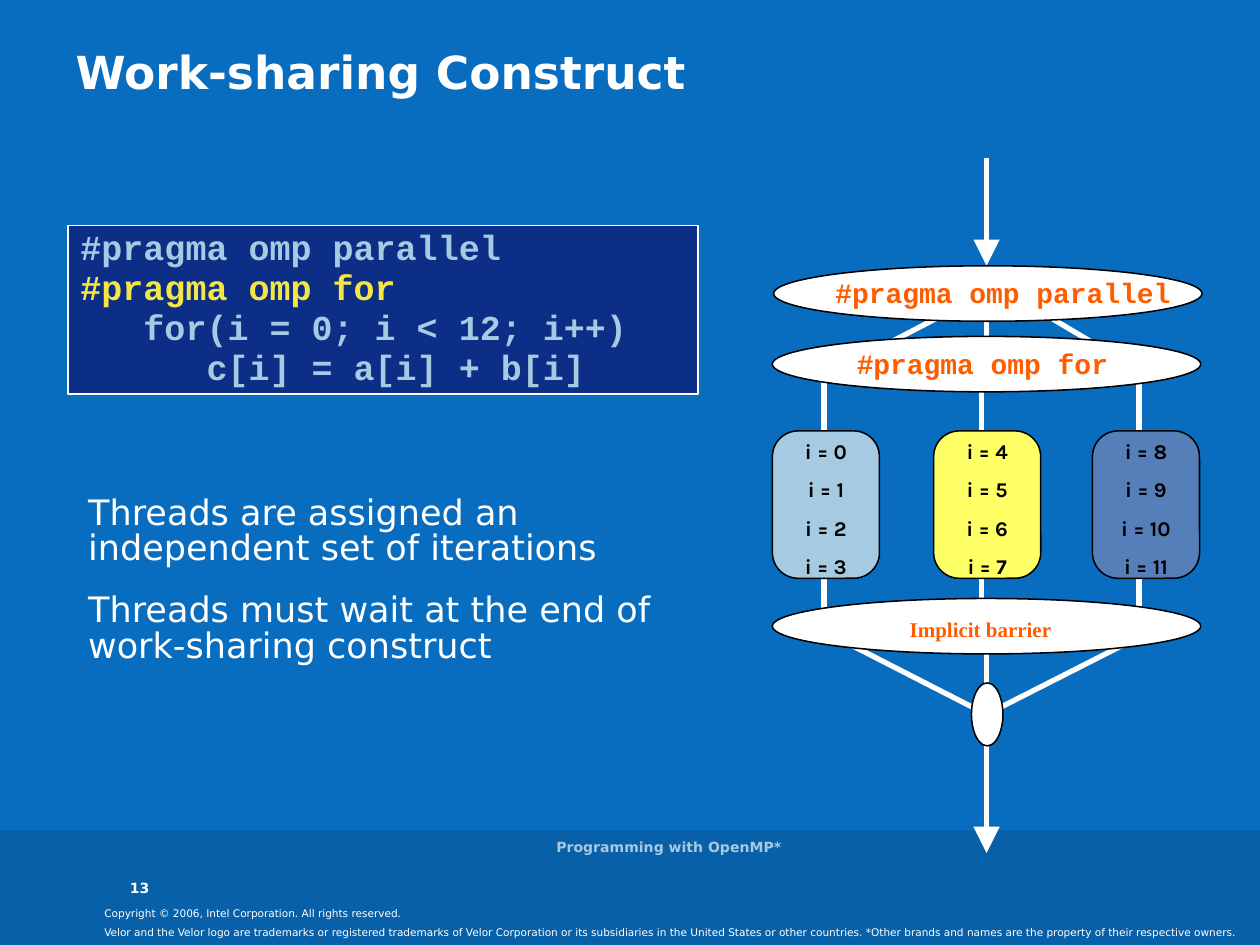
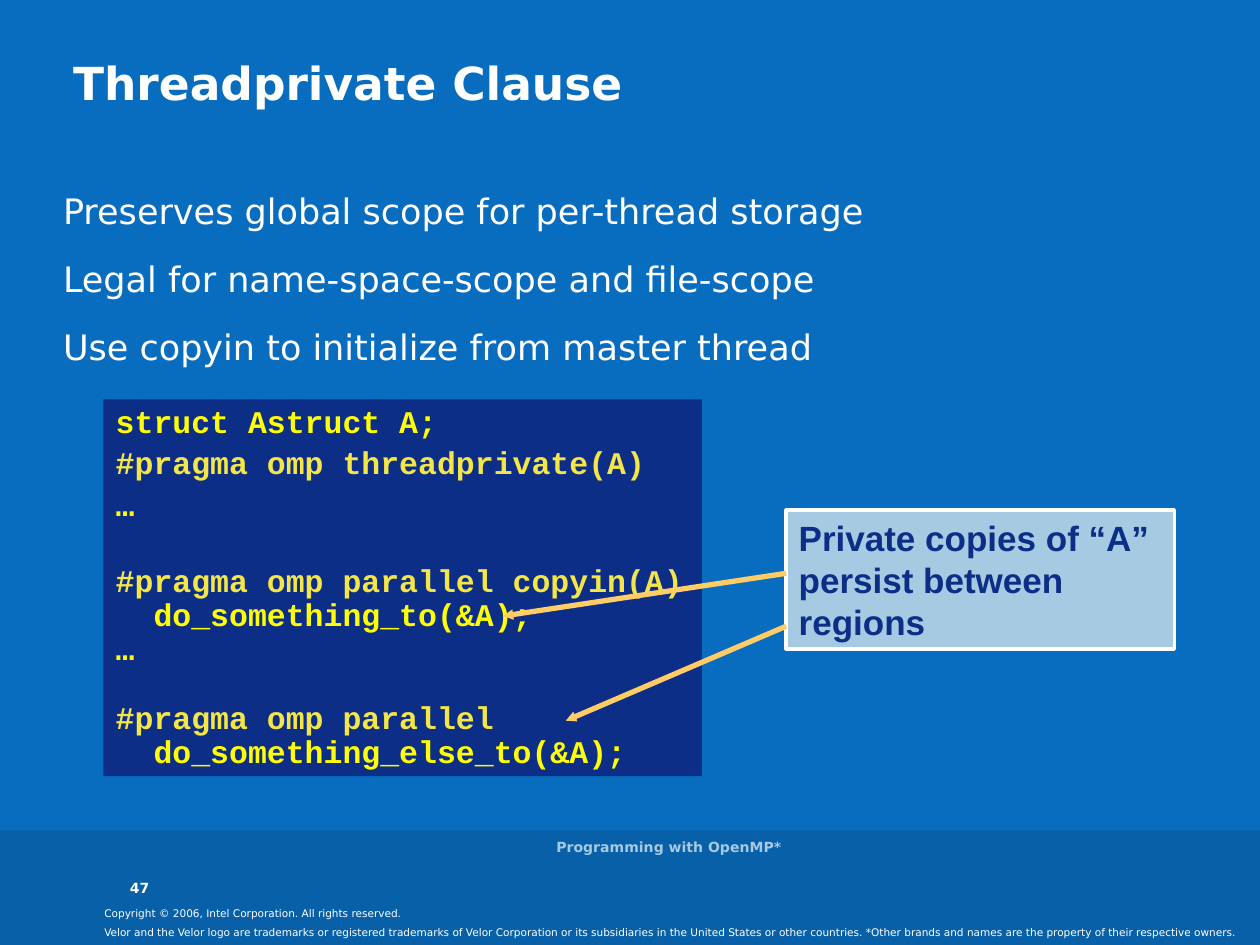
from pptx import Presentation
from pptx.dml.color import RGBColor as RGB
from pptx.enum.shapes import MSO_CONNECTOR as CONN, MSO_SHAPE as SHAPE
from pptx.enum.text import MSO_ANCHOR as ANCHOR, MSO_AUTO_SIZE as AUTO, PP_ALIGN as ALIGN
from pptx.oxml.ns import qn
from pptx.util import Inches, Pt
from lxml.etree import SubElement

COLORS = {
    "background": "096DBF", "band": "0860A8", "white": "FFFFFF", "black": "000000",
    "navy": "0C2E86", "pale": "A6CAE1", "steel": "567EB9", "lemon": "FFFF66",
    "yellow": "FFFF00", "gold": "F5E647", "orange": "FF5C00", "amber": "FFCC66",
}
SANS, MONO = "DejaVu Sans", "Courier New"
FOOTER = "Programming with OpenMP*"
COPYRIGHT = "Copyright © 2006, Intel Corporation. All rights reserved."
TRADEMARKS = ("Velor and the Velor logo are trademarks or registered trademarks of Velor "
              "Corporation or its subsidiaries in the United States or other countries. "
              "*Other brands and names are the property of their respective owners.")


def color(name):
    return RGB.from_string(COLORS[name])


def write(tf, lines, size=20, ink="white", font=SANS, bold=False, align=ALIGN.LEFT,
          gap=0, spacing=1.0, pad=(0.1, 0.05), anchor=ANCHOR.TOP, wrap=True):
    """Fill a frame; a line is a text or a (text, overrides) pair."""
    tf.auto_size, tf.word_wrap, tf.vertical_anchor = AUTO.NONE, wrap, anchor
    tf.margin_left = tf.margin_right = Inches(pad[0])
    tf.margin_top = tf.margin_bottom = Inches(pad[1])
    for i, line in enumerate(lines):
        text, own = (line, {}) if isinstance(line, str) else line
        p = tf.paragraphs[0] if i == 0 else tf.add_paragraph()
        pPr = p._p.get_or_add_pPr()
        pPr.set("marL", "0")
        pPr.set("indent", "0")
        SubElement(pPr, qn("a:buNone"))
        p.alignment = align
        p.line_spacing = own.get("spacing", spacing)
        p.space_before = Pt(own.get("gap", gap) if i else 0)
        r = p.add_run()
        r.text = text
        r.font.name, r.font.size, r.font.bold = font, Pt(size), bold
        r.font.color.rgb = color(own.get("ink", ink))


class Deck:
    """Holds the shared style and the slide being built."""

    def __init__(self):
        self.prs = Presentation()
        self.prs.slide_width, self.prs.slide_height = Inches(10), Inches(7.5)
        fill = self.prs.slide_master.background.fill
        fill.solid()
        fill.fore_color.rgb = color("background")

    def slide(self, number):
        self.s = self.prs.slides.add_slide(self.prs.slide_layouts[1])
        # Footer band
        self.shape(SHAPE.RECTANGLE, (0, 6.59, 10, 0.91), "band")
        self.label((0.73, 7.16, 7.21, 0.2), COPYRIGHT, size=6, spacing=0.95)
        self.label((0.73, 7.3, 9.27, 0.2), TRADEMARKS, size=6)
        self.label((1.03, 6.78, 0.45, 0.33), str(number), size=8, bold=True,
                   pad=(0, 0), anchor=ANCHOR.BOTTOM)
        self.label((3.31, 6.56, 4, 0.33), FOOTER, size=8, bold=True, ink="pale",
                   align=ALIGN.CENTER, pad=(0, 0), anchor=ANCHOR.MIDDLE)

    def placeholder(self, sp, box, lines, **fmt):
        sp.left, sp.top, sp.width, sp.height = map(Inches, box)
        write(sp.text_frame, lines, **fmt)

    def title(self, box, text, **fmt):
        self.placeholder(self.s.shapes.title, box, [text], size=26, bold=True, **fmt)

    def body(self, box, lines, **fmt):
        self.placeholder(self.s.placeholders[1], box, lines, gap=15, **fmt)

    def label(self, box, text, **fmt):
        sp = self.s.shapes.add_textbox(*map(Inches, box))
        write(sp.text_frame, [text], **fmt)

    def shape(self, kind, box, fill, line=None, width=0.88, lines=(), **fmt):
        sp = self.s.shapes.add_shape(kind, *map(Inches, box))
        sp.shadow.inherit = False
        sp.fill.solid()
        sp.fill.fore_color.rgb = color(fill)
        if line:
            sp.line.color.rgb, sp.line.width = color(line), Pt(width)
        else:
            sp.line.fill.background()
        if lines:
            write(sp.text_frame, lines, **fmt)
        return sp

    def oval(self, box):
        self.shape(SHAPE.OVAL, box, "white", "black")

    def line(self, start, end, ink="white", head=None):
        ln = self.s.shapes.add_connector(CONN.STRAIGHT, *map(Inches, start + end))
        ln.line.color.rgb, ln.line.width = color(ink), Pt(3)
        spPr = ln._element.spPr
        SubElement(spPr, qn("a:effectLst"))
        if head:
            SubElement(spPr.find(qn("a:ln")), qn("a:tailEnd"),
                       type="triangle", w=head, len=head)


def work_sharing(deck):
    deck.slide(13)
    deck.title((0.5, 0.3, 9.01, 0.53), "Work-sharing Construct")
    deck.body((0.6, 3.89, 4.99, 1.52),
              ["Threads are assigned an independent set of iterations",
               "Threads must wait at the end of work-sharing construct"], spacing=0.85)

    # Code
    deck.shape(SHAPE.RECTANGLE, (0.54, 1.79, 5, 1.34), "navy", "white", 1,
               ["#pragma omp parallel",
                ("#pragma omp for", {"ink": "gold"}),
                "   for(i = 0; i < 12; i++)",
                "      c[i] = a[i] + b[i]"],
               ink="pale", font=MONO, bold=True, gap=2.5, spacing=0.85)

    # Thread lines, fork and join
    axis = 7.83
    for i in range(3):
        x = 6.54 + 1.25 * i
        deck.line((x, 3), (x, 4.85))
    for x, fork in ((6.56, 2.32), (axis, 2.32), (9.11, 2.22)):
        deck.line((axis, fork), (x, 2.98))
        deck.line((x, 5.02), (axis, 5.67))

    # Iterations of each thread
    for i, (x, fill) in enumerate([(6.13, "pale"), (7.41, "lemon"), (8.67, "steel")]):
        sp = deck.shape(SHAPE.ROUNDED_RECTANGLE, (x, 3.42, 0.85, 1.17), fill, "black",
                        lines=[f"i = {n}" for n in range(4 * i, 4 * i + 4)],
                        size=12, ink="black", font="Karla", bold=True,
                        align=ALIGN.CENTER, gap=7.5, pad=(0, 0))
        sp.adjustments[0] = 0.24

    # Stages from top to bottom
    deck.line((axis, 1.25), (axis, 2.11), head="lg")
    deck.line((axis, 5.88), (axis, 6.77), head="lg")
    deck.oval((7.71, 5.42, 0.25, 0.5))
    stages = [
        ((6.14, 2.11), (6.63, 2.19, 2.66, 0.27), "#pragma omp parallel", MONO, 16),
        ((6.13, 2.67), (6.8, 2.75, 2, 0.27), "#pragma omp for", MONO, 16),
        ((6.13, 4.75), (7.22, 4.89, 1.13, 0.2), "Implicit barrier", "Times New Roman", 12),
    ]
    for corner, box, text, font, size in stages:
        deck.oval(corner + (3.4, 0.44))
        deck.label(box, text, size=size, ink="orange", font=font, bold=True,
                   pad=(0, 0), wrap=False)


def threadprivate(deck):
    deck.slide(47)
    deck.title((0.58, 0.44, 9.01, 0.43), "Threadprivate Clause", pad=(0, 0))
    deck.body((0.5, 1.5, 9.11, 4.42),
              ["Preserves global scope for per-thread storage",
               "Legal for name-space-scope and file-scope",
               "Use copyin to initialize from master thread"], pad=(0, 0))

    # Code, with wider gaps between its three parts
    upper = {"gap": 4.5, "spacing": 0.9}
    deck.shape(SHAPE.RECTANGLE, (0.82, 3.17, 4.75, 2.99), "navy", lines=[
        ("struct Astruct A;", upper),
        ("#pragma omp threadprivate(A)", {**upper, "ink": "gold"}),
        ("…", upper),
        ("#pragma omp parallel copyin(A)", {"gap": 24.5, "ink": "gold"}),
        "  do_something_to(&A);",
        "…",
        ("#pragma omp parallel", {"gap": 21, "ink": "gold"}),
        "  do_something_else_to(&A);",
    ], size=18, ink="yellow", font=MONO, bold=True, gap=1.1, spacing=0.85,
        anchor=ANCHOR.MIDDLE)

    # Callout
    deck.shape(SHAPE.RECTANGLE, (6.24, 4.05, 3.08, 1.1), "pale", "white", 2,
               ["Private copies of “A” persist between regions"],
               ink="navy", font="Arial", bold=True)
    deck.line((6.24, 4.55), (3.99, 4.89), "amber", head="sm")
    deck.line((6.24, 4.97), (4.49, 5.72), "amber", head="sm")


def main():
    deck = Deck()
    work_sharing(deck)
    threadprivate(deck)
    deck.prs.save("out.pptx")


if __name__ == "__main__":
    main()
